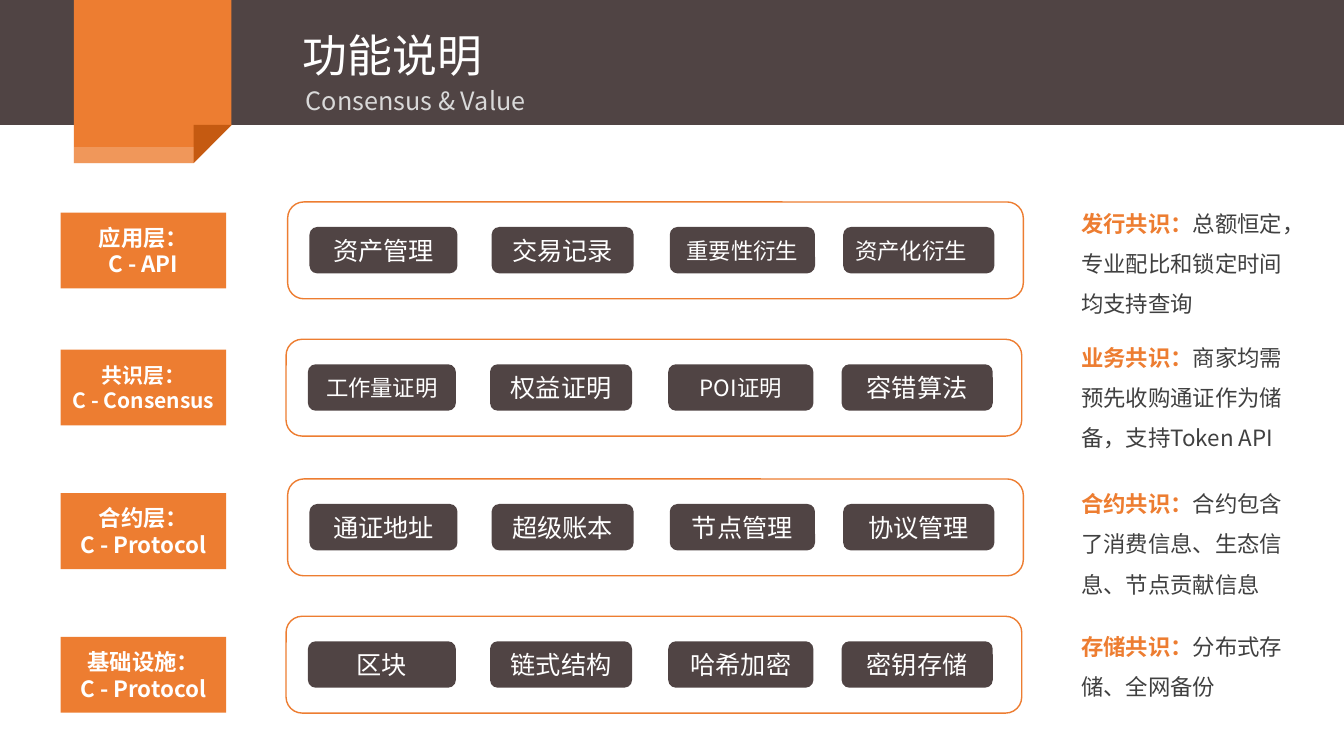
"""Build the slide that explains four layers of functions and their consensus."""
from lxml.etree import SubElement
from pptx import Presentation
from pptx.dml.color import RGBColor
from pptx.enum.shapes import MSO_SHAPE
from pptx.enum.text import MSO_ANCHOR, MSO_AUTO_SIZE, PP_ALIGN
from pptx.oxml.ns import qn
from pptx.util import Cm, Pt

FONT = "Noto Sans CJK SC"
BROWN = RGBColor(0x50, 0x44, 0x44)
ORANGE = RGBColor(0xED, 0x7D, 0x31)
DARK_ORANGE = RGBColor(0xC5, 0x5A, 0x11)
WHITE = RGBColor(0xFF, 0xFF, 0xFF)
LIGHT_GREY = RGBColor(0xD9, 0xD9, 0xD9)
DARK_GREY = RGBColor(0x40, 0x40, 0x40)

FRAME_WIDTH, FRAME_HEIGHT = 18.54, 2.44
MODULE_COLUMNS = [(0.55, 3.73), (5.14, 3.58), (9.63, 3.66), (14.0, 3.81)]

LAYERS = [
    {
        "label": ("应用层：", "C - API"), "label_top": 5.36, "label_size": 16,
        "modules": ["资产管理", "交易记录", "重要性衍生", "资产化衍生"],
        "frame": (7.25, 5.09),
        "note": ("发行共识：", "总额恒定，专业配比和锁定时间均支持查询"),
        "note_top": 4.83, "note_height": 3.33,
    },
    {
        "label": ("共识层：", "C - Consensus"), "label_top": 8.81, "label_size": 15,
        "modules": ["工作量证明", "权益证明", "POI证明", "容错算法"],
        "frame": (7.21, 8.55),
        "note": ("业务共识：", "商家均需预先收购通证作为储备，支持Token API"),
        "note_top": 8.2, "note_height": 3.33,
    },
    {
        "label": ("合约层：", "C - Protocol"), "label_top": 12.43, "label_size": 16,
        "modules": ["通证地址", "超级账本", "节点管理", "协议管理"],
        "frame": (7.25, 12.07),
        "note": ("合约共识：", "合约包含了消费信息、生态信息、节点贡献信息"),
        "note_top": 11.89, "note_height": 3.33,
    },
    {
        "label": ("基础设施：", "C - Protocol"), "label_top": 16.05, "label_size": 16,
        "modules": ["区块", "链式结构", "哈希加密", "密钥存储"],
        "frame": (7.21, 15.53),
        "note": ("存储共识：", "分布式存储、全网备份"),
        "note_top": 15.49, "note_height": 2.31,
    },
]


def add_span(para, text, size=16, color=WHITE, bold=False):
    """Append formatted text to a paragraph."""
    span = para.add_run()
    span.text = text
    span.font.size = Pt(size)
    span.font.bold = bold
    span.font.color.rgb = color
    span.font.name = FONT
    SubElement(span.font._element, qn("a:ea")).set("typeface", FONT)


def paint(shape, fill, line=None):
    """Give a shape its fill and outline and remove its shadow."""
    shape.shadow.inherit = False
    shape.fill.solid()
    shape.fill.fore_color.rgb = fill
    if line is None:
        shape.line.fill.background()
    else:
        shape.line.color.rgb = line
        shape.line.width = Pt(1)


def add_block(page, kind, left, top, width, height, fill, line=None):
    """Add a preset shape measured in centimetres."""
    block = page.shapes.add_shape(kind, Cm(left), Cm(top), Cm(width), Cm(height))
    paint(block, fill, line)
    return block


def add_lines(block, lines, align=PP_ALIGN.CENTER, **style):
    """Write vertically centred lines into a shape."""
    frame = block.text_frame
    frame.word_wrap = True
    frame.vertical_anchor = MSO_ANCHOR.MIDDLE
    for index, line in enumerate(lines):
        para = frame.add_paragraph() if index else frame.paragraphs[0]
        para.alignment = align
        add_span(para, line, **style)


def add_box(page, left, top, width, height, wrap=False):
    """Add a text box and return its first paragraph."""
    box = page.shapes.add_textbox(Cm(left), Cm(top), Cm(width), Cm(height))
    box.text_frame.word_wrap = wrap
    box.text_frame.auto_size = MSO_AUTO_SIZE.SHAPE_TO_FIT_TEXT
    return box.text_frame.paragraphs[0]


def add_ribbon(page):
    """Add the orange ribbon with its folded corner."""
    outline = page.shapes.build_freeform(Cm(1.86), 0)
    corners = [(5.83, 0), (5.83, 3.15), (4.88, 4.11), (1.86, 4.11)]
    outline.add_line_segments([(Cm(x), Cm(y)) for x, y in corners])
    paint(outline.convert_to_shape(), ORANGE)
    fold = add_block(page, MSO_SHAPE.RIGHT_TRIANGLE, 4.88, 3.15, 0.96, 0.96, DARK_ORANGE)
    fold.rotation = 90
    band = add_block(page, MSO_SHAPE.RECTANGLE, 1.86, 3.71, 3.02, 0.4, WHITE)
    color = band.fill._xPr.find(qn("a:solidFill"))[0]
    SubElement(color, qn("a:alpha")).set("val", "20000")


def add_header(page):
    """Add the title bar, ribbon, title and subtitle."""
    add_block(page, MSO_SHAPE.RECTANGLE, 0, 0, 33.87, 3.15, BROWN)
    add_ribbon(page)
    add_span(add_box(page, 7.38, 0.57, 5.08, 1.63), "功能说明", size=32)
    subtitle = add_box(page, 7.46, 2.02, 6.4, 2.57)
    add_span(subtitle, "Consensus & Value", size=18, color=LIGHT_GREY)


def add_modules(page, left, top, names):
    """Add an outlined frame holding a row of modules."""
    add_block(page, MSO_SHAPE.ROUNDED_RECTANGLE, left, top,
              FRAME_WIDTH, FRAME_HEIGHT, WHITE, line=ORANGE)
    for name, (offset, width) in zip(names, MODULE_COLUMNS):
        module = add_block(page, MSO_SHAPE.ROUNDED_RECTANGLE, left + offset,
                           top + 0.63, width, 1.17, BROWN)
        align = PP_ALIGN.JUSTIFY if name == "资产化衍生" else PP_ALIGN.CENTER
        add_lines(module, [name], align=align, size=16 if len(name) > 4 else 18)


def add_layer(page, layer):
    """Add one layer: its label, modules and consensus note."""
    label = add_block(page, MSO_SHAPE.RECTANGLE, 1.53, layer["label_top"], 4.17, 1.91, ORANGE)
    add_lines(label, layer["label"], size=layer["label_size"], bold=True)
    add_modules(page, *layer["frame"], layer["modules"])
    para = add_box(page, 27, layer["note_top"], 5.79, layer["note_height"], wrap=True)
    para.line_spacing = 1.5
    heading, body = layer["note"]
    add_span(para, heading, color=ORANGE, bold=True)
    add_span(para, body, color=DARK_GREY)


def main():
    """Build and save the deck."""
    deck = Presentation()
    deck.slide_width, deck.slide_height = Cm(33.87), Cm(19.05)
    page = deck.slides.add_slide(deck.slide_layouts[6])
    add_header(page)
    for layer in LAYERS:
        add_layer(page, layer)
    deck.save("out.pptx")


if __name__ == "__main__":
    main()
